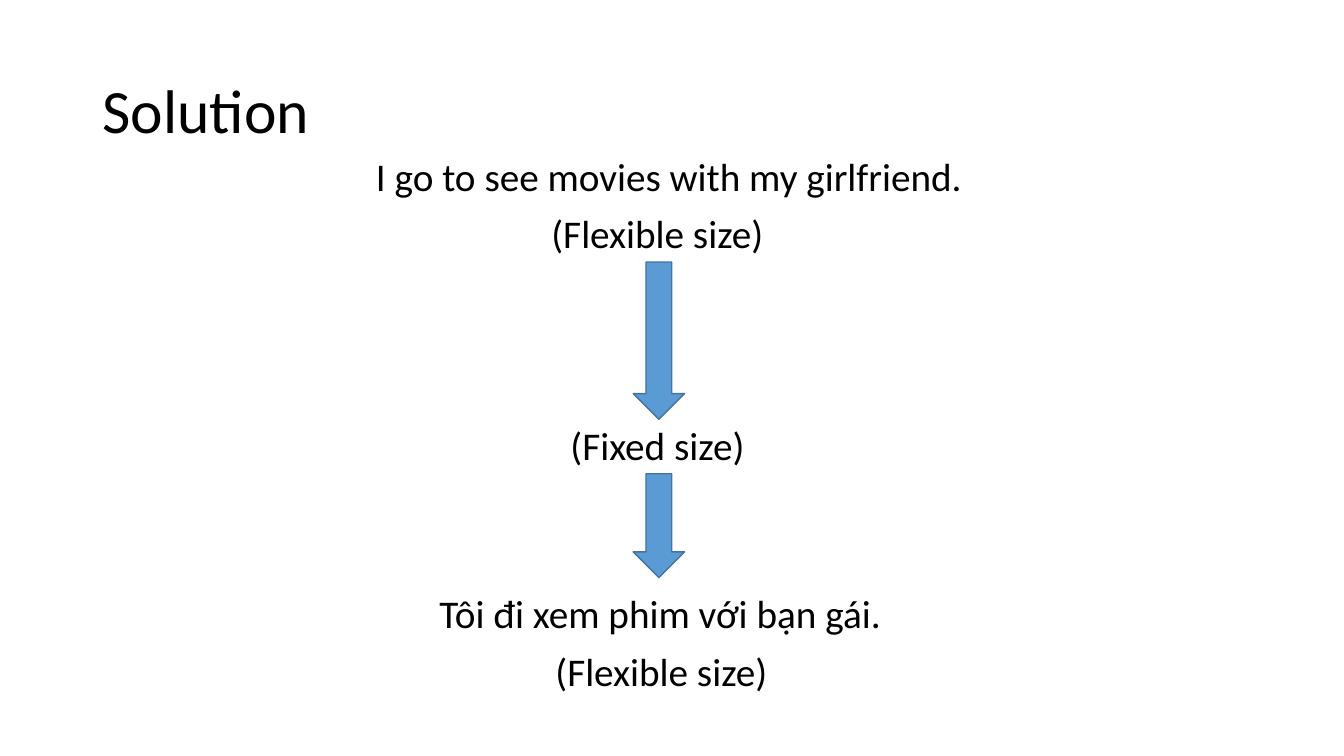
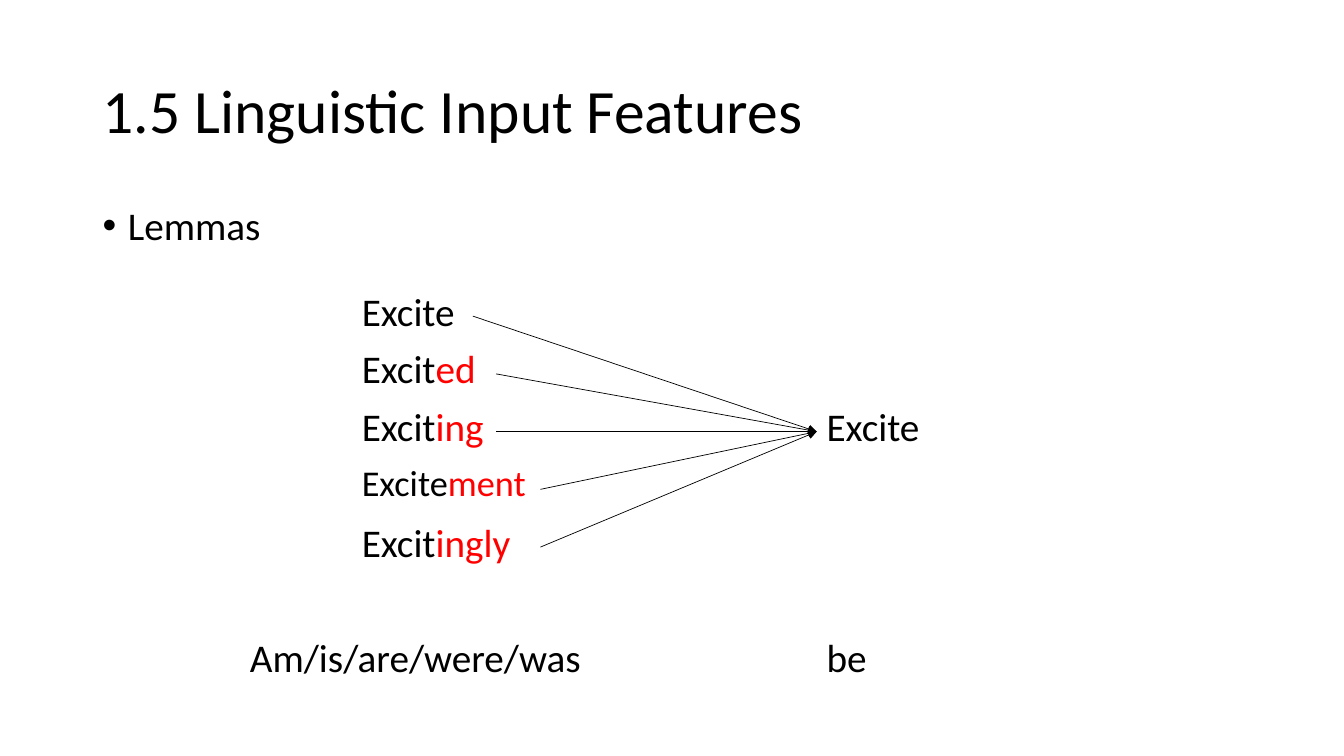
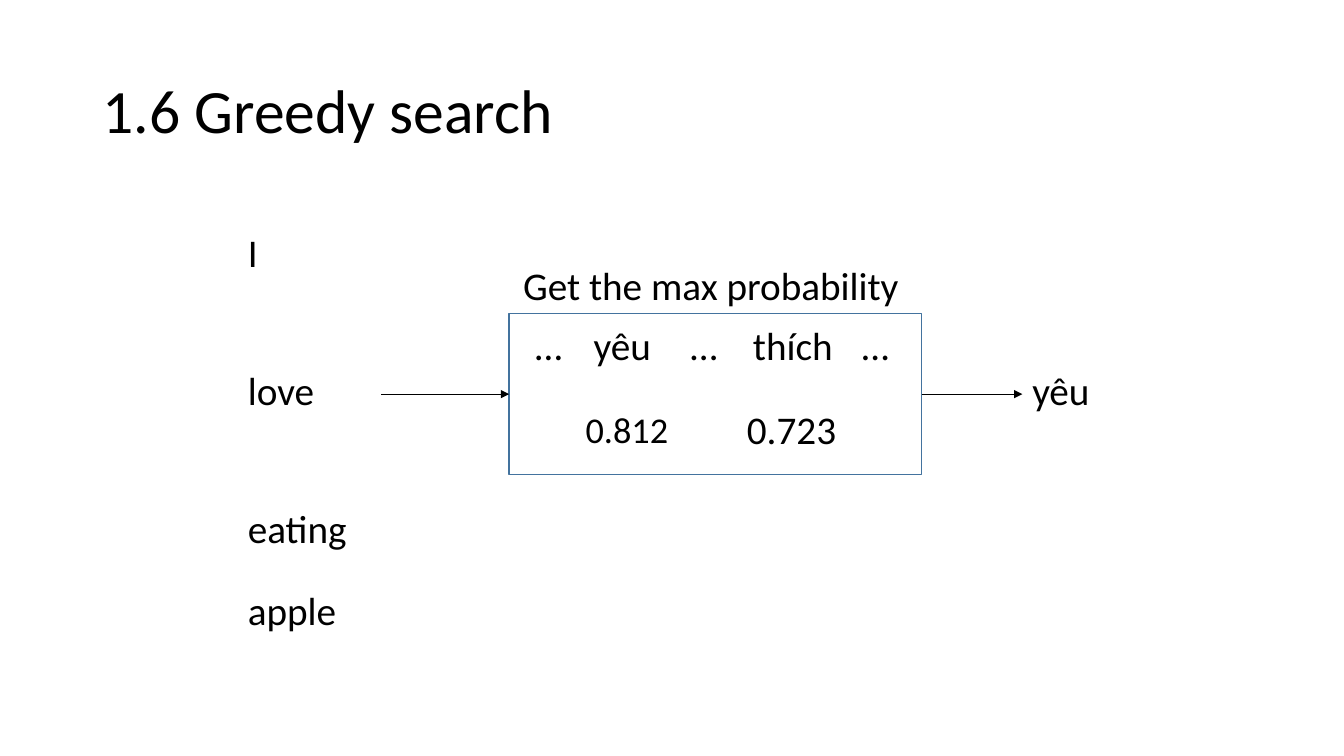
from lxml import etree
from pptx import Presentation
from pptx.dml.color import RGBColor
from pptx.enum.shapes import MSO_CONNECTOR, MSO_SHAPE
from pptx.enum.text import MSO_ANCHOR
from pptx.oxml.ns import qn
from pptx.util import Inches, Pt

STRAIGHT = MSO_CONNECTOR.STRAIGHT
DOWN_ARROW, RECTANGLE = MSO_SHAPE.DOWN_ARROW, MSO_SHAPE.RECTANGLE
TOP, MIDDLE = MSO_ANCHOR.TOP, MSO_ANCHOR.MIDDLE

BLACK = RGBColor(0x00, 0x00, 0x00)
RED = RGBColor(0xFF, 0x00, 0x00)
BLUE = RGBColor(0x5B, 0x9B, 0xD5)
DARK_BLUE = RGBColor(0x43, 0x73, 0x9E)

FONT = "Calibri"
TITLE_SIZE, BODY_SIZE, SMALL_SIZE = 44, 28, 25.9
SLIDE_W, SLIDE_H = 13.33, 7.5

# Regions: left, top, width, height in inches
TITLE_BOX = (0.92, 0.4, 11.5, 1.45)
FLOW_BOX = (3.63, 1.46, 6.07, 5.48)
LEMMAS_BOX = (0.92, 2, 1.91, 0.61)
LEMMA_MAP_BOX = (3.49, 2.85, 5.81, 4.01)
SEARCH_BOX = (2.36, 2.27, 8.64, 4.09)


def add_text(slide, box, *runs, size=BODY_SIZE, anchor=TOP, wrap=True,
             spacing=0.9, before=10):
    """Place one paragraph; each run is a (text, colour) pair or plain text."""
    frame = slide.shapes.add_textbox(*map(Inches, box)).text_frame
    frame.word_wrap = wrap
    frame.vertical_anchor = anchor
    paragraph = frame.paragraphs[0]
    paragraph.line_spacing = spacing
    paragraph.space_before = Pt(before)
    for part in runs:
        words, colour = (part, BLACK) if isinstance(part, str) else part
        run = paragraph.add_run()
        run.text = words
        run.font.name = FONT
        run.font.size = Pt(size)
        run.font.color.rgb = colour
    return paragraph


def add_bullet(paragraph):
    properties = paragraph._p.get_or_add_pPr()
    properties.set("marL", str(Inches(0.25)))
    properties.set("indent", str(-Inches(0.25)))
    etree.SubElement(properties, qn("a:buFont")).set("typeface", "Arial")
    etree.SubElement(properties, qn("a:buChar")).set("char", "•")


def add_outlined(slide, kind, box, fill=None):
    shape = slide.shapes.add_shape(kind, *map(Inches, box))
    shape.shadow.inherit = False
    if fill is None:
        shape.fill.background()
    else:
        shape.fill.solid()
        shape.fill.fore_color.rgb = fill
    shape.line.color.rgb = DARK_BLUE
    shape.line.width = Pt(1)


def add_arrow(slide, start, end):
    arrow = slide.shapes.add_connector(STRAIGHT, *map(Inches, start + end))
    arrow.line.color.rgb = BLACK
    arrow.line.width = Pt(0.5)
    line = arrow.line._get_or_add_ln()
    etree.SubElement(line, qn("a:tailEnd")).set("type", "triangle")
    etree.SubElement(arrow._element.spPr, qn("a:effectLst"))


def new_slide(deck, title):
    slide = deck.slides.add_slide(deck.slide_layouts[6])
    add_text(slide, TITLE_BOX, title, size=TITLE_SIZE, anchor=MIDDLE, before=0)
    return slide


def translation_flow(slide, box):
    """Sentences of any length pass through a fixed-size middle step."""
    left, top, _, _ = box
    line_h, arrow_w = 0.57, 0.51
    # Text, left offset, top offset, width
    steps = [
        ("I go to see movies with my girlfriend.", 0, 0, 6.07),
        ("(Flexible size)", 1.74, 0.57, 2.32),
        ("Tôi đi xem phim với bạn gái.", 0.63, 4.34, 4.63),
        ("(Flexible size)", 1.78, 4.91, 2.32),
        ("(Fixed size)", 1.93, 2.67, 1.94),
    ]
    for words, x, y, width in steps:
        add_text(slide, (left + x, top + y, width, line_h), words,
                 wrap=False, spacing=1, before=0)
    # Arrows into and out of the fixed-size step
    for y, height in [(3.24, 1.03), (1.14, 1.56)]:
        add_outlined(slide, DOWN_ARROW,
                     (left + 2.65, top + y, arrow_w, height), BLUE)


def lemma_map(slide, box):
    """Inflected forms on the left point to their lemma on the right."""
    left, top, width, height = box
    row_h = height / 7
    lemma_w = 1.2
    lemma_x = left + width - lemma_w
    lemma_row = 2
    # Stem, ending, box width, text size
    forms = [
        ("Excite", "", 1.2, BODY_SIZE),
        ("Excit", "ed", 1.43, BODY_SIZE),
        ("Excit", "ing", 1.43, BODY_SIZE),
        ("Excite", "ment", 1.87, SMALL_SIZE),
        ("Excit", "ingly", 1.87, BODY_SIZE),
    ]
    target = (lemma_x, top + (lemma_row + 0.5) * row_h)
    for row, (stem, ending, form_w, size) in enumerate(forms):
        y = top + row * row_h
        runs = [stem, (ending, RED)] if ending else [stem]
        add_text(slide, (left, y, form_w, row_h), *runs, size=size)
        add_arrow(slide, (left + form_w, y + row_h / 2), target)
    # Lemmas, and the irregular verb in the last row
    for row, lemma in [(lemma_row, "Excite"), (6, "be")]:
        add_text(slide, (lemma_x, top + row * row_h, lemma_w, row_h), lemma)
    add_text(slide, (left - 1.11, top + 6 * row_h, 3.65, 0.5),
             "Am/is/are/were/was")


def candidate_panel(slide, box):
    """Candidate words above their probabilities, in a captioned frame."""
    left, top, width, _ = box
    line_h = 0.54
    add_outlined(slide, RECTANGLE, box)
    add_text(slide, (left + 0.04, top - 0.51, width - 0.08, line_h),
             "Get the max probability")
    # Text, left offset, top offset, width, size
    cells = [
        ("…", 0.16, 0.08, 0.48, BODY_SIZE),
        ("yêu", 0.74, 0.08, 0.86, BODY_SIZE),
        ("…", 1.7, 0.08, 0.51, BODY_SIZE),
        ("thích", 2.32, 0.08, 1.03, BODY_SIZE),
        ("…", 3.4, 0.08, 0.51, BODY_SIZE),
        ("0.812", 0.66, 0.93, 1.03, SMALL_SIZE),
        ("0.723", 2.26, 0.91, 1.14, BODY_SIZE),
    ]
    for words, x, y, cell_w, size in cells:
        add_text(slide, (left + x, top + y, cell_w, line_h), words, size=size)


def greedy_search(slide, box):
    """Input words, the candidate panel and the chosen output word."""
    left, top, width, _ = box
    line_h, input_w, output_w = 0.54, 1.42, 0.86
    current_y = 1.37
    inputs = [("I", 0), ("love", current_y), ("eating", 2.74), ("apple", 3.55)]
    for word, y in inputs:
        add_text(slide, (left, top + y, input_w, line_h), word)
    panel = (left + 2.69, top + 0.84, 4.09, 1.6)
    candidate_panel(slide, panel)
    output_x = left + width - output_w
    add_text(slide, (output_x, top + current_y, output_w, line_h), "yêu")
    # Arrows into and out of the panel
    middle = top + current_y + line_h / 2
    for start, end in [(left + input_w, panel[0]),
                       (panel[0] + panel[2], output_x)]:
        add_arrow(slide, (start, middle), (end, middle))


def main():
    deck = Presentation()
    deck.slide_width, deck.slide_height = Inches(SLIDE_W), Inches(SLIDE_H)

    translation_flow(new_slide(deck, "Solution"), FLOW_BOX)

    features = new_slide(deck, "1.5 Linguistic Input Features")
    add_bullet(add_text(features, LEMMAS_BOX, "Lemmas"))
    lemma_map(features, LEMMA_MAP_BOX)

    greedy_search(new_slide(deck, "1.6 Greedy search"), SEARCH_BOX)

    deck.save("out.pptx")


if __name__ == "__main__":
    main()
